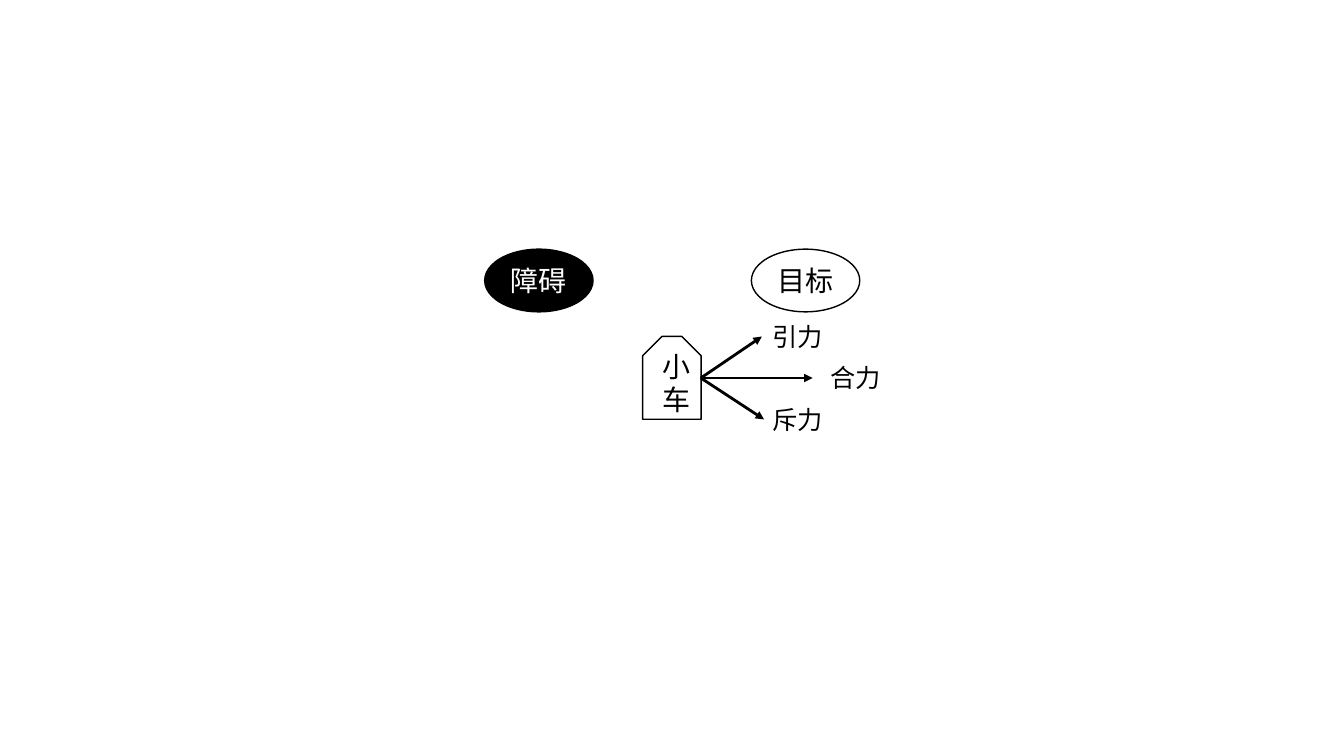
from pptx import Presentation
from pptx.dml.color import RGBColor
from pptx.enum.shapes import MSO_CONNECTOR, MSO_SHAPE
from pptx.enum.text import MSO_ANCHOR, MSO_AUTO_SIZE, PP_ALIGN
from pptx.oxml.ns import qn
from pptx.util import Pt
from lxml import etree

OVAL = MSO_SHAPE.OVAL
SNIPPED = MSO_SHAPE.SNIP_2_SAME_RECTANGLE
STRAIGHT = MSO_CONNECTOR.STRAIGHT
MIDDLE, TOP = MSO_ANCHOR.MIDDLE, MSO_ANCHOR.TOP
CENTER, LEFT = PP_ALIGN.CENTER, PP_ALIGN.LEFT
GROW = MSO_AUTO_SIZE.SHAPE_TO_FIT_TEXT
FONT = "Noto Sans CJK SC"
BLACK, WHITE = "000000", "FFFFFF"


def color(value):
    return RGBColor.from_string(value)


def write(box, text, size=20, ink=BLACK, align=CENTER, anchor=MIDDLE):
    frame = box.text_frame
    frame.word_wrap = False
    frame.auto_size = GROW
    frame.vertical_anchor = anchor
    frame.text = text
    for para in frame.paragraphs:
        para.alignment = align
        for span in para.runs:
            span.font.size = Pt(size)
            span.font.name = FONT
            span.font.color.rgb = color(ink)
            east_asian = etree.SubElement(span.font._element, qn("a:ea"))
            east_asian.set("typeface", FONT)


def add_node(page, kind, bounds, text, fill=None, ink=BLACK):
    node = page.shapes.add_shape(kind, *map(Pt, bounds))
    node.shadow.inherit = False
    if fill:
        node.fill.solid()
        node.fill.fore_color.rgb = color(fill)
    else:
        node.fill.background()
    node.line.color.rgb = color(BLACK)
    node.line.width = Pt(1)
    write(node, text, ink=ink)
    return node


def add_arrow(page, start, end):
    arrow = page.shapes.add_connector(STRAIGHT, *map(Pt, start + end))
    arrow.line.color.rgb = color(BLACK)
    arrow.line.width = Pt(2)
    etree.SubElement(arrow.line._get_or_add_ln(), qn("a:tailEnd"), type="triangle")
    etree.SubElement(arrow._element.spPr, qn("a:effectLst"))


def add_label(page, left, top, text):
    box = page.shapes.add_textbox(Pt(left), Pt(top), Pt(51), Pt(29))
    write(box, text, size=18, align=LEFT, anchor=TOP)


def main():
    deck = Presentation()
    deck.slide_width, deck.slide_height = Pt(960), Pt(540)
    page = deck.slides.add_slide(deck.slide_layouts[6])

    car = add_node(page, SNIPPED, (459, 240.3, 41.8, 59.2), "小\n车")
    car.adjustments[0] = 0.331
    car.adjustments[1] = 0
    add_node(page, OVAL, (346.2, 178, 77.4, 44.8), "障碍", fill=BLACK, ink=WHITE)
    add_node(page, OVAL, (536.7, 178, 77.4, 44.8), "目标")

    origin = (500.6, 270)
    forces = [
        ("合力", (580.4, 270), (586, 255)),
        ("引力", (544.2, 240.4), (544.7, 225.7)),
        ("斥力", (545.8, 299.6), (544.5, 285)),
    ]
    for name, tip, corner in forces:
        add_arrow(page, origin, tip)
        add_label(page, *corner, name)

    deck.save("out.pptx")


main()
